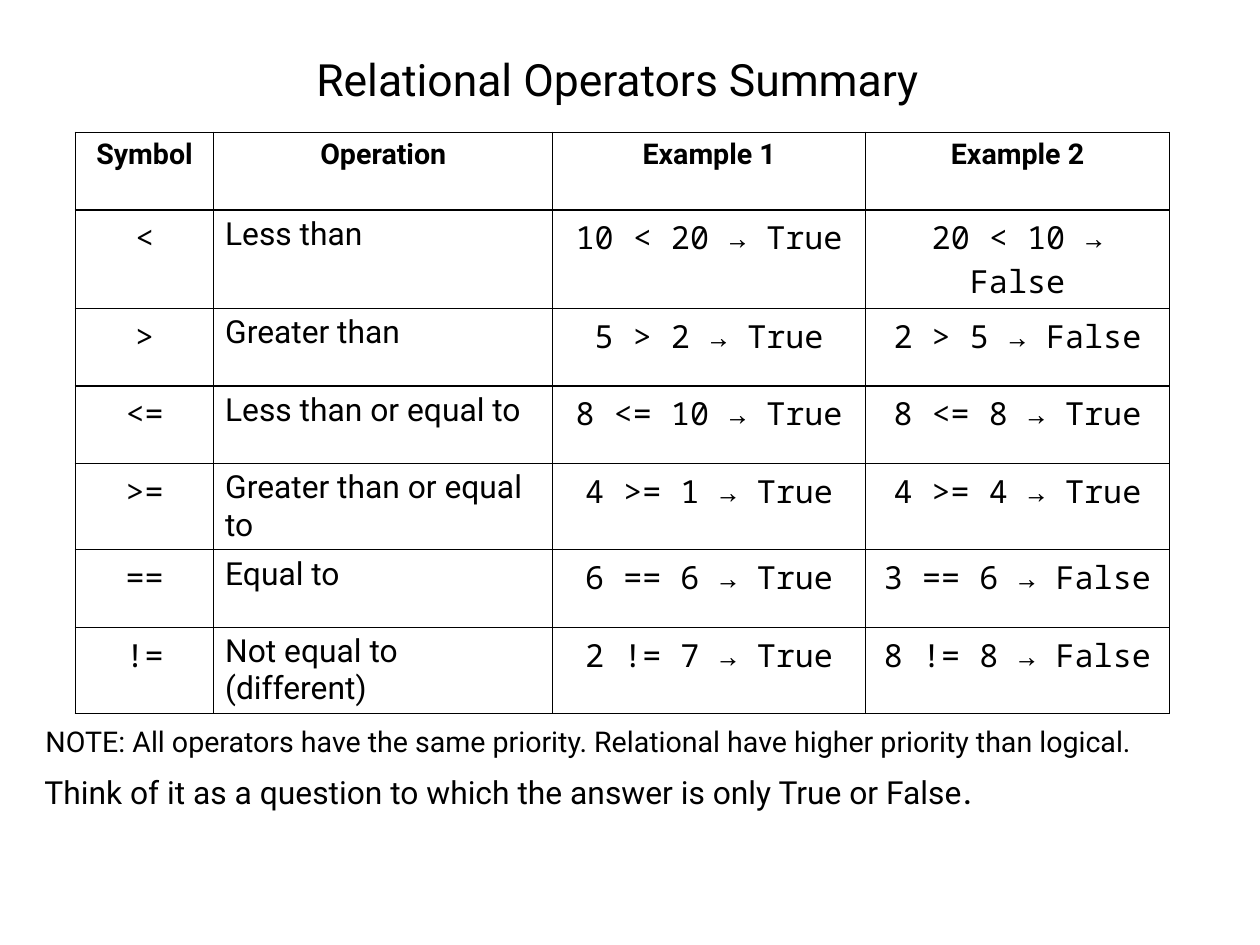
from lxml import etree
from pptx import Presentation
from pptx.dml.color import RGBColor
from pptx.enum.text import MSO_ANCHOR, MSO_AUTO_SIZE, PP_ALIGN
from pptx.oxml.ns import qn
from pptx.util import Pt

CENTER, LEFT = PP_ALIGN.CENTER, PP_ALIGN.LEFT
TOP, MIDDLE = MSO_ANCHOR.TOP, MSO_ANCHOR.MIDDLE
FIT_SHAPE, FIT_NONE = MSO_AUTO_SIZE.SHAPE_TO_FIT_TEXT, MSO_AUTO_SIZE.NONE

# Content
TITLE = "Relational Operators Summary"
HEADER = ("Symbol", "Operation", "Example 1", "Example 2")
OPERATORS = [
    ("<", "Less than", "10 < 20 → True", "20 < 10 → False"),
    (">", "Greater than", "5 > 2 → True", "2 > 5 → False"),
    ("<=", "Less than or equal to", "8 <= 10 → True", "8 <= 8 → True"),
    (">=", "Greater than or equal to", "4 >= 1 → True", "4 >= 4 → True"),
    ("==", "Equal to", "6 == 6 → True", "3 == 6 → False"),
    ("!=", "Not equal to (different)", "2 != 7 → True", "8 != 8 → False"),
]
NOTE = "NOTE: All operators have the same priority. Relational have higher priority than logical."
HINT = "Think of it as a question to which the answer is only True or False"

# Theme
THEME = {
    "ink": RGBColor(0, 0, 0), "paper": RGBColor(255, 255, 255),
    "text": "Roboto", "code": "Noto Sans Mono",
    "title": 28, "header": 18, "body": 20, "note": 18, "stop": 24, "rule": 1,
}

# Layout in points
SLIDE_W, SLIDE_H = 793.7, 595.28
TITLE_BOX = (31.68, 0, 714.24, 99.36)
TABLE_LEFT, TABLE_TOP, ROW_H = 47.52, 83.4, 48.9
COL_WIDTHS = (87.12, 213.6, 197.1, 191.4)
NOTE_BOX = (21.6, 452.7, 707.76, 27.36)
HINT_BOX = (20.88, 479.52, 606.24, 35.28)
OPERATION_COL = 1


def style(r, size, font=THEME["text"], bold=False):
    r.font.name, r.font.size, r.font.bold = font, Pt(size), bold
    r.font.color.rgb = THEME["ink"]


def add_text(box, runs, align=LEFT, anchor=TOP, fit=FIT_SHAPE):
    tf = s.shapes.add_textbox(*map(Pt, box)).text_frame
    tf.word_wrap = fit == FIT_NONE
    tf.auto_size = fit
    tf.vertical_anchor = anchor
    p = tf.paragraphs[0]
    p.alignment = align
    for text, size in runs:
        r = p.add_run()
        r.text = text
        style(r, size)
    return tf


def add_borders(cell):
    tcPr = cell._tc.get_or_add_tcPr()
    for side in ("a:lnL", "a:lnR", "a:lnT", "a:lnB"):
        ln = etree.SubElement(tcPr, qn(side), w=str(Pt(THEME["rule"])))
        fill = etree.SubElement(ln, qn("a:solidFill"))
        etree.SubElement(fill, qn("a:srgbClr"), val=str(THEME["ink"]))


prs = Presentation()
prs.slide_width = Pt(SLIDE_W)
prs.slide_height = Pt(SLIDE_H)
s = prs.slides.add_slide(prs.slide_layouts[6])

# Title
tf = add_text(TITLE_BOX, [(TITLE, THEME["title"])], CENTER, MIDDLE, FIT_NONE)
tf.margin_left = tf.margin_right = tf.margin_top = tf.margin_bottom = 0

# Operator table
rows = [HEADER] + OPERATORS
table = s.shapes.add_table(
    len(rows), len(HEADER), Pt(TABLE_LEFT), Pt(TABLE_TOP),
    Pt(sum(COL_WIDTHS)), Pt(ROW_H * len(rows))).table
table.first_row = table.horz_banding = False
for column, width in zip(table.columns, COL_WIDTHS):
    column.width = Pt(width)
for i, row in enumerate(rows):
    table.rows[i].height = Pt(ROW_H)
    for j, text in enumerate(row):
        cell = table.cell(i, j)
        add_borders(cell)
        cell.fill.solid()
        cell.fill.fore_color.rgb = THEME["paper"]
        p = cell.text_frame.paragraphs[0]
        p.text = text
        is_header, is_operation = i == 0, j == OPERATION_COL
        p.alignment = LEFT if is_operation and not is_header else CENTER
        font = THEME["text"] if is_header or is_operation else THEME["code"]
        style(p.runs[0], THEME["header" if is_header else "body"], font, is_header)

# Notes below the table
add_text(HINT_BOX, [(HINT, THEME["body"]), (".", THEME["stop"])])
add_text(NOTE_BOX, [(NOTE, THEME["note"])])

prs.save("out.pptx")
